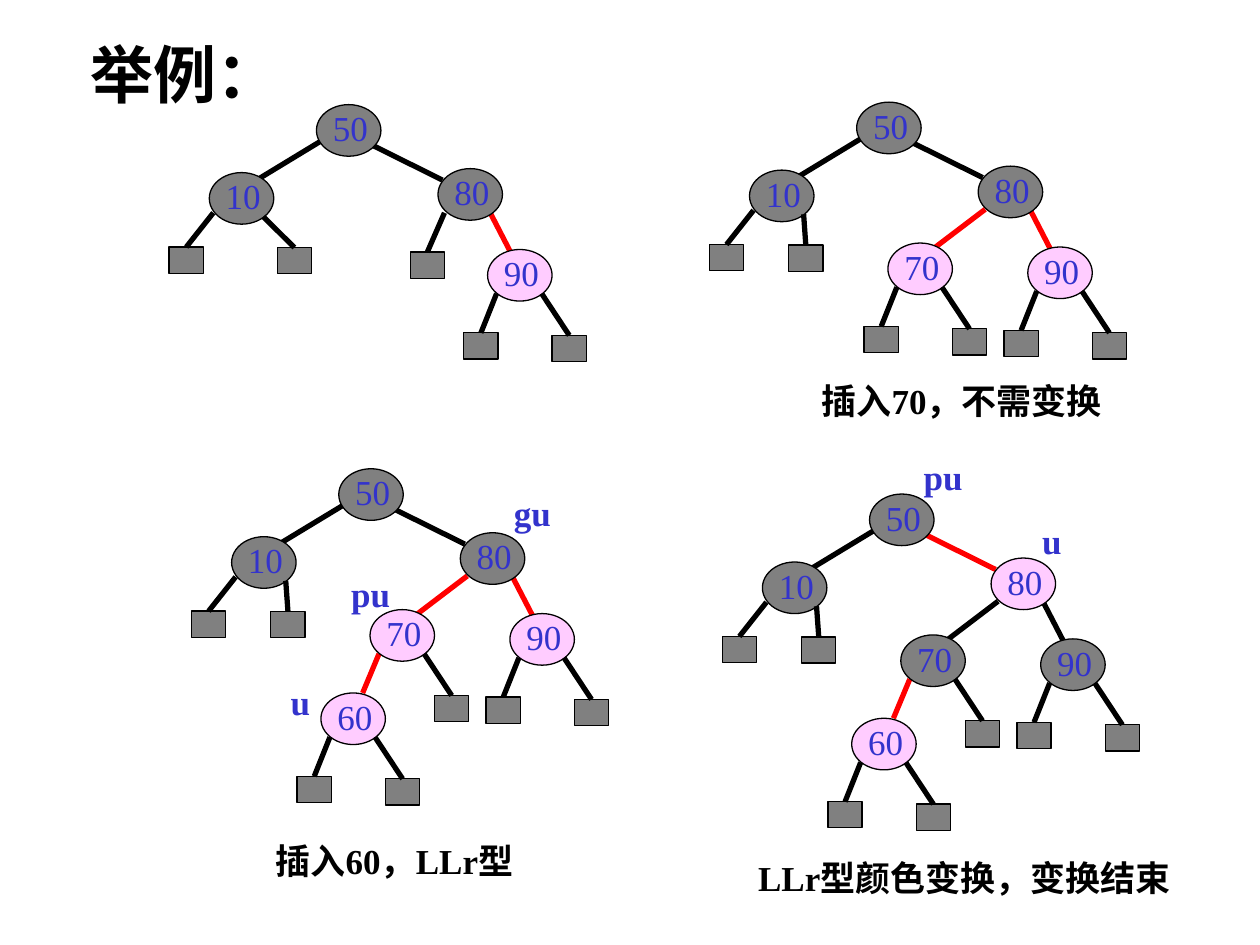
from dataclasses import dataclass

from lxml.etree import SubElement
from pptx import Presentation
from pptx.dml.color import RGBColor
from pptx.enum.shapes import MSO_CONNECTOR, MSO_SHAPE
from pptx.enum.text import MSO_ANCHOR, MSO_AUTO_SIZE, PP_ALIGN
from pptx.oxml.ns import qn
from pptx.shapes.shapetree import GroupShapes
from pptx.util import Cm, Pt

BLACK = RGBColor(0x00, 0x00, 0x00)
GREY = RGBColor(0x80, 0x80, 0x80)
PINK = RGBColor(0xFF, 0xCC, 0xFF)
RED = RGBColor(0xFF, 0x00, 0x00)
BLUE = RGBColor(0x33, 0x33, 0xCC)
LATIN_FONT = "Times New Roman"
TITLE_FONT = "Noto Sans CJK SC"

# All lengths are in centimetres
Point = tuple[float, float]
NODE_SIZE = (1.3, 1.04)
LEAF_SIZE = (0.69, 0.53)
TEXT_HEIGHT = 1.12


@dataclass(frozen=True)
class Edge:
    parent: int
    child: int
    start: Point
    end: Point


@dataclass(frozen=True)
class LeafSlot:
    """External leaf, placed from its parent; a child may take its place."""
    parent: int
    start: Point
    corner: Point
    child: int | None = None


@dataclass(frozen=True)
class Label:
    text: str
    corner: Point
    width: float


@dataclass(frozen=True)
class Tree:
    root: Point
    keys: tuple[int, ...]
    red_keys: tuple[int, ...]
    red_children: tuple[int, ...]  # keys whose edge to the parent is red
    inner_leaf_x: float = 0.79  # right leaf of node 10
    tags: tuple[Label, ...] = ()
    caption: Label | None = None


# Node and edge positions, measured from the root node's corner
NODE_CORNERS = {50: (0, 0), 10: (-2.16, 1.37), 80: (2.45, 1.29),
                90: (3.45, 2.92), 70: (0.63, 2.84), 60: (-0.36, 4.52)}
EDGES = [
    Edge(50, 10, (0.08, 0.74), (-1.47, 1.68)),
    Edge(50, 80, (1.11, 0.81), (2.54, 1.52)),
    Edge(80, 90, (3.45, 2.08), (3.9, 2.95)),
    Edge(80, 70, (2.59, 2.16), (1.42, 3.05)),
    Edge(70, 60, (0.81, 3.73), (0.48, 4.52)),
]
LEFT = ((0.18, 0.89), (-0.48, 1.68))
RIGHT = ((1.09, 0.89), (1.3, 1.73))
LEAF_SLOTS = [
    LeafSlot(10, (0.08, 0.81), (-0.81, 1.5)),
    LeafSlot(80, (0.13, 0.89), (-0.56, 1.68), child=70),
    LeafSlot(70, *LEFT, child=60),
    LeafSlot(70, *RIGHT),
    LeafSlot(90, *LEFT),
    LeafSlot(90, *RIGHT),
    LeafSlot(60, *LEFT),
    LeafSlot(60, *RIGHT),
]

TREES = [
    Tree((6.38, 2.11), (50, 10, 90, 80), (90,), (90,), inner_leaf_x=1.37),
    Tree((17.27, 2.06), (50, 10, 90, 80, 70), (70, 90), (70, 90),
         caption=Label("插入70，不需变换", (15.49, 7.52), 7.8)),
    Tree((6.83, 9.45), (50, 10, 90, 80, 70, 60), (60, 70, 90), (60, 70, 90),
         tags=(Label("u", (-1.22, 4.14), 1.3), Label("pu", (0, 1.96), 1.3),
               Label("gu", (3.28, 0.33), 1.3)),
         caption=Label("插入60，LLr型", (4.8, 16.79), 6.3)),
    Tree((17.53, 9.96), (50, 10, 90, 80, 70, 60), (60, 80), (60, 80),
         tags=(Label("pu", (0.84, -0.91), 1.3), Label("u", (3.23, 0.38), 1.3)),
         caption=Label("LLr型颜色变换，变换结束", (14.68, 17.15), 9.53)),
]


def shift(origin: Point, offset: Point) -> Point:
    return origin[0] + offset[0], origin[1] + offset[1]


def draw_line(shapes: GroupShapes, start: Point, end: Point,
              color: RGBColor = BLACK) -> None:
    line = shapes.add_connector(MSO_CONNECTOR.STRAIGHT,
                                *map(Cm, (*start, *end)))
    line.line.color.rgb = color
    line.line.width = Pt(3)
    SubElement(line._element.spPr, qn("a:effectLst"))


def draw_outline(shapes: GroupShapes, preset: MSO_SHAPE, corner: Point,
                 size: Point, color: RGBColor) -> None:
    outline = shapes.add_shape(preset, *map(Cm, (*corner, *size)))
    outline.shadow.inherit = False
    outline.fill.solid()
    outline.fill.fore_color.rgb = color
    outline.line.color.rgb = BLACK
    outline.line.width = Pt(0.75)


def draw_text(shapes: GroupShapes, text: str, corner: Point, width: float,
              color: RGBColor = BLUE, bold: bool = True,
              align: PP_ALIGN = PP_ALIGN.LEFT) -> None:
    box = shapes.add_textbox(*map(Cm, (*corner, width, TEXT_HEIGHT)))
    frame = box.text_frame
    frame.word_wrap = True
    frame.auto_size = MSO_AUTO_SIZE.SHAPE_TO_FIT_TEXT
    frame.text = text
    paragraph = frame.paragraphs[0]
    paragraph.alignment = align
    font = paragraph.runs[0].font
    font.name, font.size, font.bold = LATIN_FONT, Pt(20), bold
    font.color.rgb = color


def draw_leaf(shapes: GroupShapes, node: Point, start: Point,
              offset: Point) -> None:
    corner = shift(node, offset)
    draw_outline(shapes, MSO_SHAPE.RECTANGLE, corner, LEAF_SIZE, GREY)
    draw_line(shapes, shift(node, start), shift(corner, (LEAF_SIZE[0] / 2, 0)))


def draw_tree(shapes: GroupShapes, tree: Tree) -> None:
    nodes = {key: shift(tree.root, NODE_CORNERS[key]) for key in tree.keys}

    # Edges lie behind the nodes
    for edge in EDGES:
        if edge.child in nodes:
            color = RED if edge.child in tree.red_children else BLACK
            draw_line(shapes, shift(tree.root, edge.start),
                      shift(tree.root, edge.end), color)

    for key, corner in nodes.items():
        color = PINK if key in tree.red_keys else GREY
        draw_outline(shapes, MSO_SHAPE.OVAL, corner, NODE_SIZE, color)
        draw_text(shapes, str(key), shift(corner, (0.08, -0.08)), 1.55,
                  bold=False)

    for slot in LEAF_SLOTS:
        if slot.parent in nodes and slot.child not in nodes:
            draw_leaf(shapes, nodes[slot.parent], slot.start, slot.corner)
    draw_leaf(shapes, nodes[10], RIGHT[0], (tree.inner_leaf_x, 1.51))

    # Role tags and caption
    for tag in tree.tags:
        draw_text(shapes, tag.text, shift(tree.root, tag.corner), tag.width)
    if tree.caption:
        draw_text(shapes, tree.caption.text, tree.caption.corner,
                  tree.caption.width, BLACK, align=PP_ALIGN.CENTER)


def main() -> None:
    deck = Presentation()
    deck.slide_width, deck.slide_height = Cm(25.4), Cm(19.05)
    slide = deck.slides.add_slide(deck.slide_layouts[5])

    # Title
    title = slide.shapes.title
    title.left, title.top, title.width, title.height = map(
        Cm, (1.57, 0.58, 6.76, 1.8))
    frame = title.text_frame
    frame.text = "举例："
    frame.auto_size = MSO_AUTO_SIZE.NONE
    frame.vertical_anchor = MSO_ANCHOR.MIDDLE
    frame.paragraphs[0].alignment = PP_ALIGN.LEFT
    run = frame.paragraphs[0].runs[0]
    run.font.name, run.font.size, run.font.bold = TITLE_FONT, Pt(36), True
    run.font.color.rgb = BLACK
    SubElement(run.font._element, qn("a:ea"), typeface=TITLE_FONT)

    # Four trees, one group each
    for tree in TREES:
        draw_tree(slide.shapes.add_group_shape().shapes, tree)

    deck.save("out.pptx")


if __name__ == "__main__":
    main()
